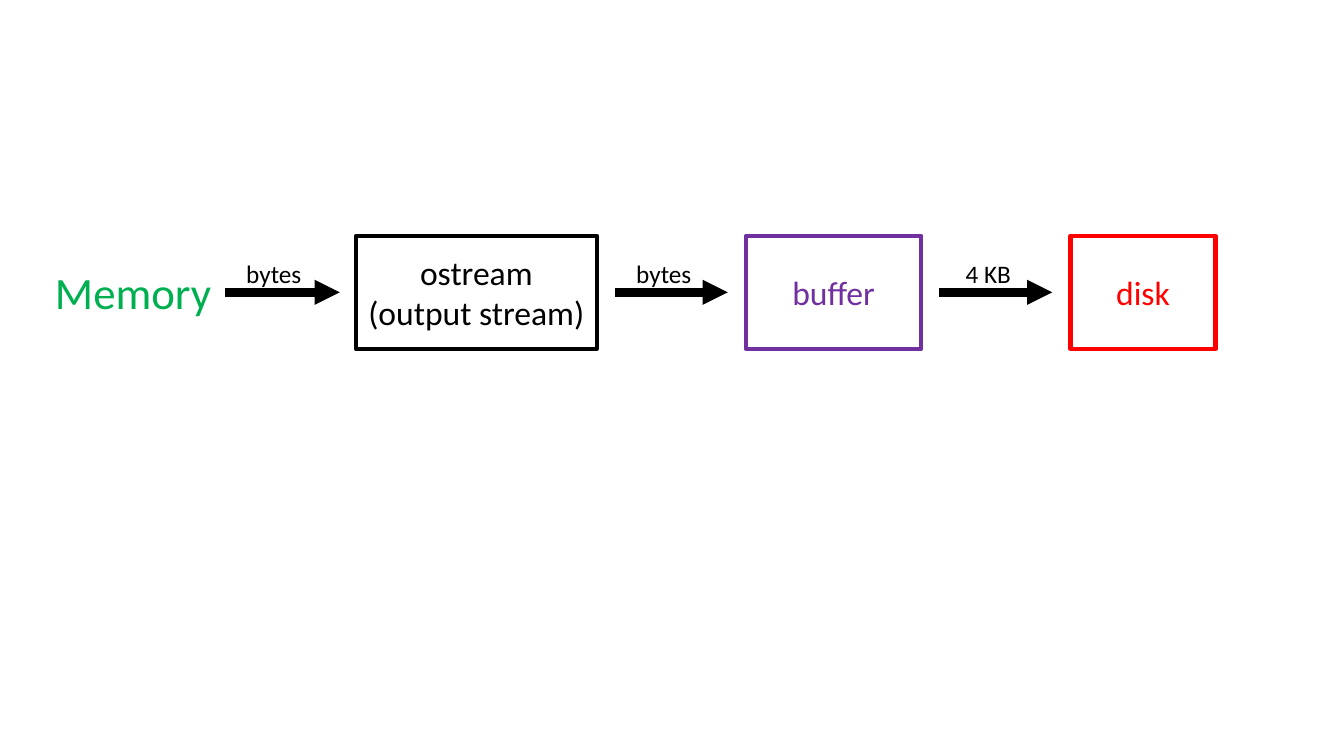
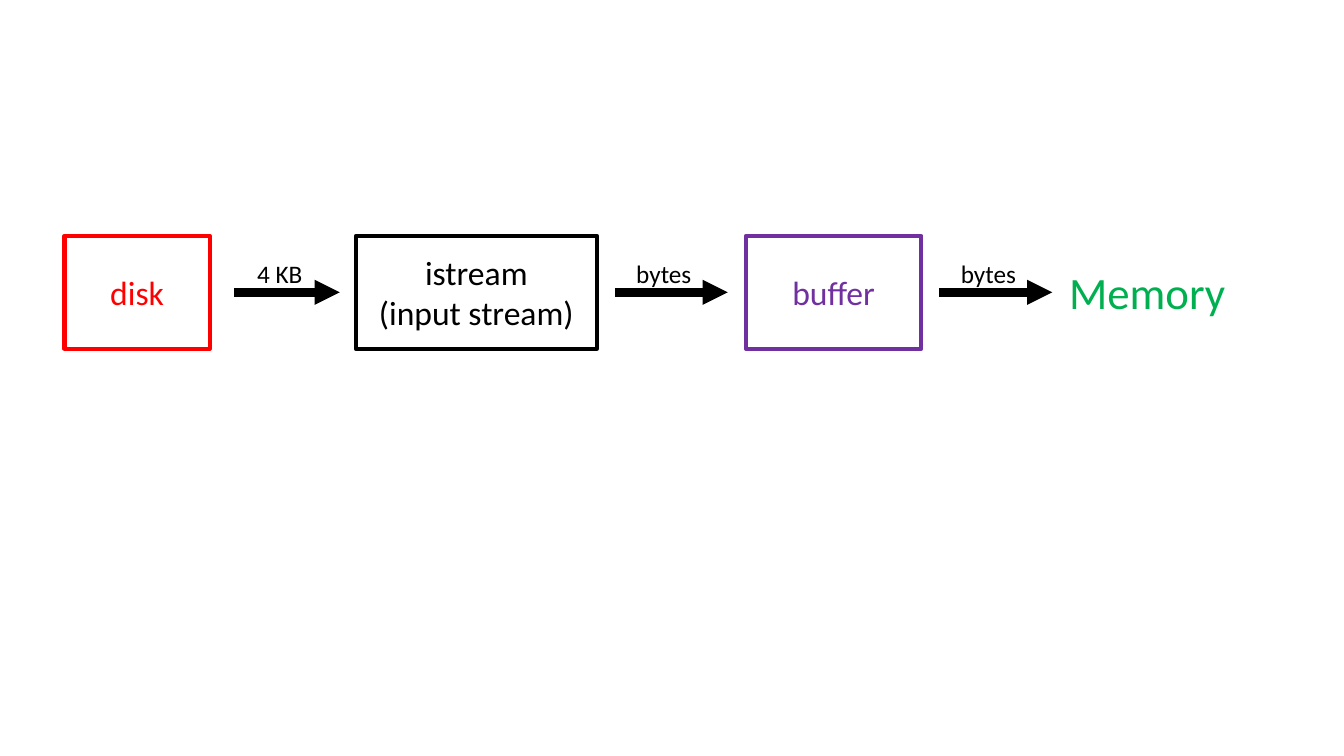
"""Build two slides that show how bytes flow through output and input streams."""
from lxml.etree import SubElement
from pptx import Presentation
from pptx.dml.color import RGBColor
from pptx.enum.shapes import MSO_CONNECTOR as Link, MSO_SHAPE as Shape
from pptx.enum.text import MSO_ANCHOR as Anchor, PP_ALIGN as Align
from pptx.oxml.ns import qn
from pptx.util import Inches, Pt

BLACK, GREEN, PURPLE, RED = "000000", "00B050", "7030A0", "FF0000"
FONT = "Calibri"
AXIS, LABEL_MIDDLE = 38.67, 36.13
BOX_HEIGHT, MEMORY_HEIGHT, LABEL_HEIGHT = 14.93, 8.53, 5.33
MEMORY_WIDTH, LABEL_WIDTH = 13.65, 7.28

deck = Presentation()
deck.slide_width, deck.slide_height = Inches(13.333), Inches(7.5)
column, row = deck.slide_width / 100, deck.slide_height / 100


def place(left, middle, width, height):
    """Turn percentages of the slide into left, top, width and height."""
    return (round(left * column), round((middle - height / 2) * row),
            round(width * column), round(height * row))


def write(box, text, size, colour):
    """Fill a box with centred lines of text."""
    frame = box.text_frame
    frame.word_wrap = True
    frame.text = text
    for para in frame.paragraphs:
        para.alignment = Align.CENTER
        para.font.name, para.font.size = FONT, Pt(size)
        para.font.color.rgb = RGBColor.from_string(colour)


flows = [
    {"stream": "ostream\n(output stream)", "disk": 79.65, "memory": 3.08,
     "arrows": [(16.73, 25.28, "bytes", 16.73), (45.75, 54.15, "bytes", 45.75),
                (69.9, 78.3, "4 KB", 69.9)]},
    {"stream": "istream\n(input stream)", "disk": 4.8, "memory": 78.53,
     "arrows": [(17.4, 25.28, "4 KB", 17.18), (45.75, 54.15, "bytes", 45.75),
                (69.9, 78.3, "bytes", 69.9)]},
]

for flow in flows:
    page = deck.slides.add_slide(deck.slide_layouts[6])

    for text, left, width, colour in [
        (flow["stream"], 26.48, 17.93, BLACK),
        ("buffer", 55.5, 13.05, PURPLE),
        ("disk", flow["disk"], 10.8, RED),
    ]:
        box = page.shapes.add_shape(Shape.RECTANGLE, *place(left, AXIS, width, BOX_HEIGHT))
        box.shadow.inherit = False
        box.fill.background()
        box.line.color.rgb = RGBColor.from_string(colour)
        box.line.width = Pt(3)
        box.text_frame.vertical_anchor = Anchor.MIDDLE
        write(box, text, 24, colour)

    memory = page.shapes.add_textbox(*place(flow["memory"], AXIS, MEMORY_WIDTH, MEMORY_HEIGHT))
    write(memory, "Memory", 32, GREEN)

    for start, end, text, label_left in flow["arrows"]:
        height = round(AXIS * row)
        arrow = page.shapes.add_connector(
            Link.STRAIGHT, round(start * column), height, round(end * column), height)
        arrow.line.color.rgb = RGBColor.from_string(BLACK)
        arrow.line.width = Pt(6)
        SubElement(arrow.line._get_or_add_ln(), qn("a:tailEnd"), type="triangle")
        SubElement(arrow._element.spPr, qn("a:effectLst"))
        if start == round(flow["memory"] + MEMORY_WIDTH, 2):
            arrow.begin_connect(memory, 3)

        label = page.shapes.add_textbox(
            *place(label_left, LABEL_MIDDLE, LABEL_WIDTH, LABEL_HEIGHT))
        write(label, text, 18, BLACK)

deck.save("out.pptx")
